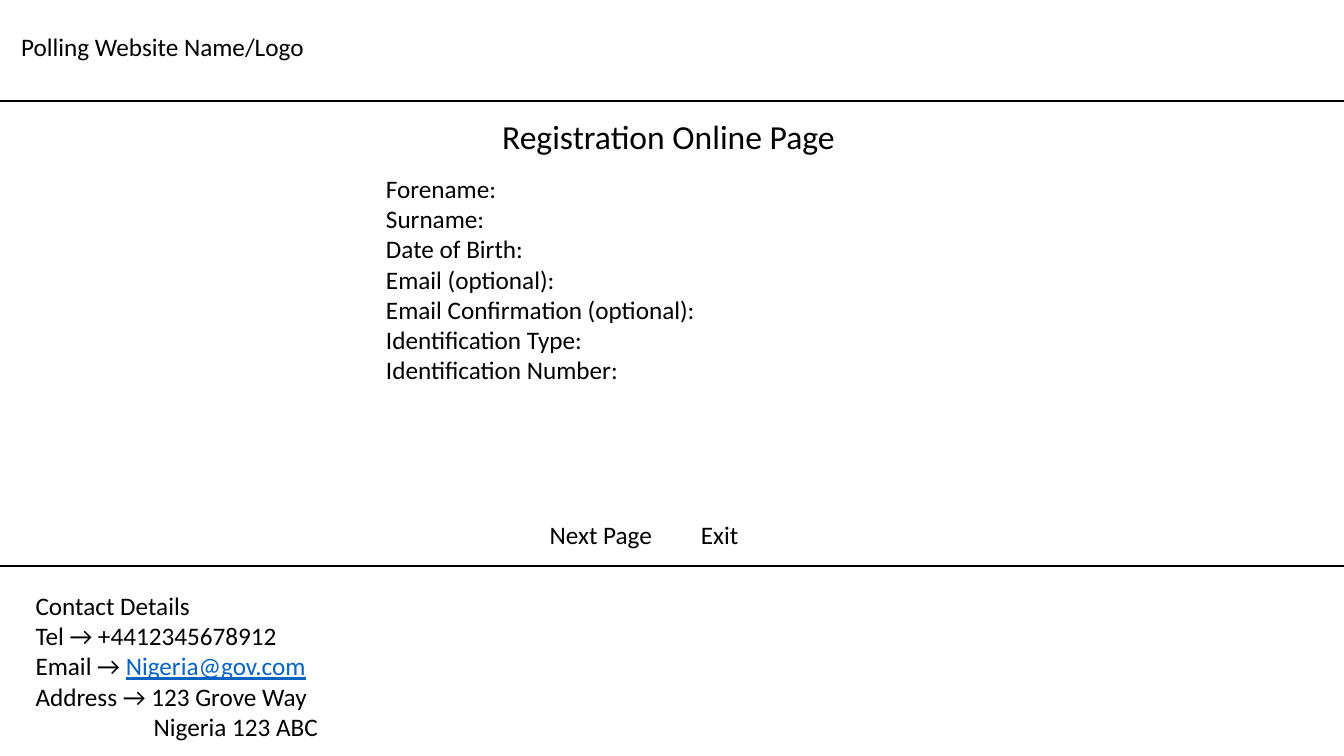
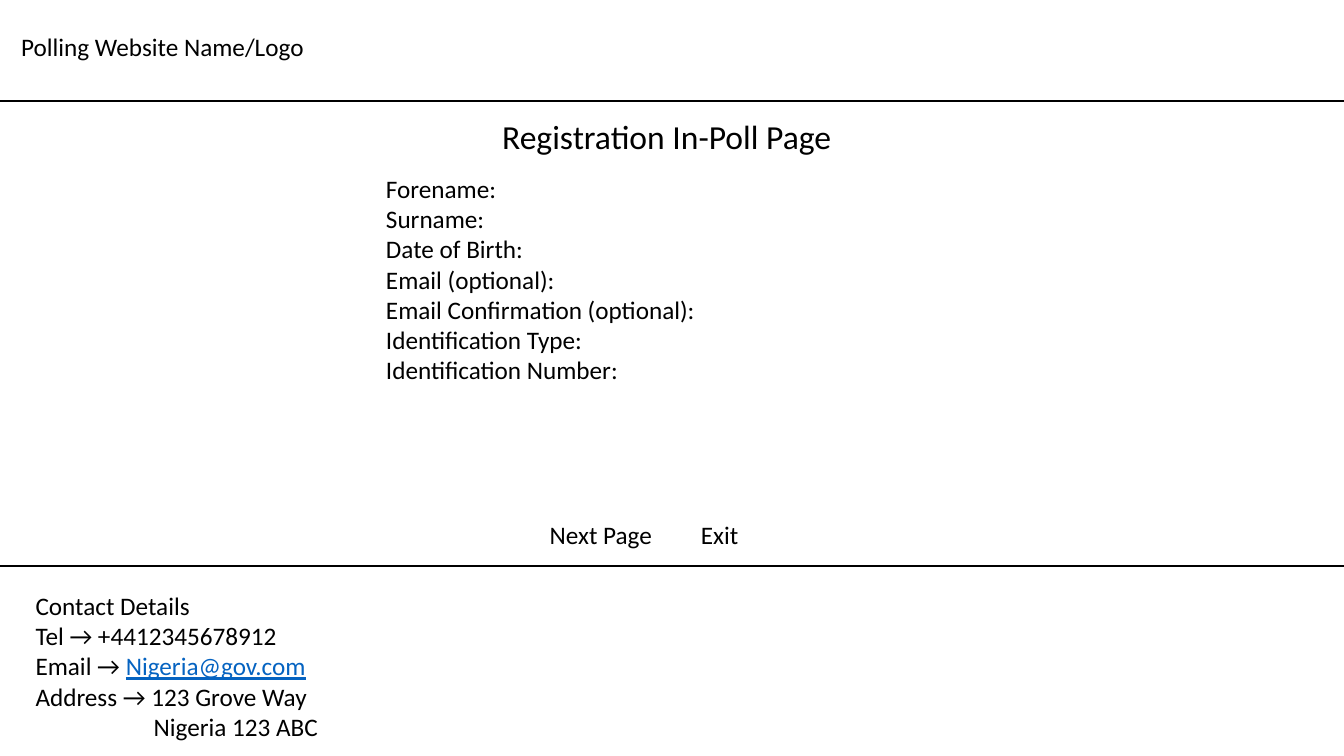
from lxml import etree
from pptx import Presentation
from pptx import util as u
from pptx.dml.color import RGBColor
from pptx.enum import shapes, text
from pptx.oxml import ns

Pt = u.Pt
BLACK = RGBColor(0x00, 0x00, 0x00)
LINK_BLUE = RGBColor(0x05, 0x63, 0xC1)
WIDTH, HEIGHT = 960, 540
TITLE_AND_CONTENT = 1

FIELDS = [
    "Forename:",
    "Surname:",
    "Date of Birth:",
    "Email (optional):",
    "Email Confirmation (optional):",
    "Identification Type:",
    "Identification Number:",
]
TITLES = ["Registration Online Page", "Registration In-Poll Page"]


class Wireframe:
    """Holds the deck, its text style and the current page."""

    font_name = "Calibri"
    body_size = 18
    title_size = 24

    def __init__(self):
        self.deck = Presentation()
        self.deck.slide_width = Pt(WIDTH)
        self.deck.slide_height = Pt(HEIGHT)
        self.page = None

    def new_page(self):
        layout = self.deck.slide_layouts[TITLE_AND_CONTENT]
        self.page = self.deck.slides.add_slide(layout)

    def add_span(self, para, words, size=body_size, color=BLACK, underline=False):
        span = para.add_run()
        span.text = words
        span.font.name = self.font_name
        span.font.size = Pt(size)
        span.font.color.rgb = color
        span.font.underline = underline

    def fill_box(self, box, lines, size=body_size, indents=None, tab=None):
        """Set the lines; a line is a string or a list of (words, format) pairs."""
        frame = box.text_frame
        frame.word_wrap = True
        frame.auto_size = text.MSO_AUTO_SIZE.NONE
        frame.vertical_anchor = text.MSO_ANCHOR.TOP
        for index, line in enumerate(lines):
            para = frame.add_paragraph() if index else frame.paragraphs[0]
            para.alignment = text.PP_ALIGN.LEFT
            para.space_before = Pt(0)
            props = para._p.get_or_add_pPr()
            props.set("marL", str(Pt((indents or {}).get(index, 0))))
            props.set("indent", "0")
            etree.SubElement(props, ns.qn("a:buNone"))
            if tab:
                stops = etree.SubElement(props, ns.qn("a:tabLst"))
                etree.SubElement(stops, ns.qn("a:tab"), pos=str(Pt(tab)), algn="l")
            for words, style in [(line, {})] if isinstance(line, str) else line:
                self.add_span(para, words, size=size, **style)

    def place(self, box, left, top, width, height):
        box.left, box.top = Pt(left), Pt(top)
        box.width, box.height = Pt(width), Pt(height)

    def title(self, words):
        box = self.page.shapes.title
        self.place(box, 351.5, 79.2, 257, 36)
        self.fill_box(box, [words], size=self.title_size)

    def fields(self, names):
        box = self.page.placeholders[1]
        self.place(box, 268.5, 120.2, 423, 160)
        self.fill_box(box, names)

    def label(self, left, top, width, height, lines, **style):
        box = self.page.shapes.add_textbox(Pt(left), Pt(top), Pt(width), Pt(height))
        self.fill_box(box, lines, **style)

    def rule(self, top):
        line = self.page.shapes.add_connector(
            shapes.MSO_CONNECTOR.STRAIGHT, Pt(0), Pt(top), Pt(WIDTH), Pt(top))
        line.line.color.rgb = BLACK
        line.line.width = Pt(1.5)
        etree.SubElement(line._element.spPr, ns.qn("a:effectLst"))

    def header(self):
        self.label(8, 19, 417, 29, ["Polling Website Name/Logo"])
        self.rule(72)

    def buttons(self):
        self.label(385.6, 367.5, 189, 29, ["Next Page\tExit"], tab=144)

    def footer(self):
        self.rule(404.6)
        email = [("Email → ", {}),
                 ("Nigeria@gov.com", {"color": LINK_BLUE, "underline": True})]
        lines = ["Contact Details", "Tel → +4412345678912", email,
                 "Address → 123 Grove Way", "Nigeria 123 ABC"]
        # The second address line sits under the first
        self.label(18.3, 418, 399, 117, lines, indents={4: 84.4})


def main():
    frame = Wireframe()
    for words in TITLES:
        frame.new_page()
        frame.header()
        frame.title(words)
        frame.fields(FIELDS)
        frame.buttons()
        frame.footer()
    frame.deck.save("out.pptx")


if __name__ == "__main__":
    main()
